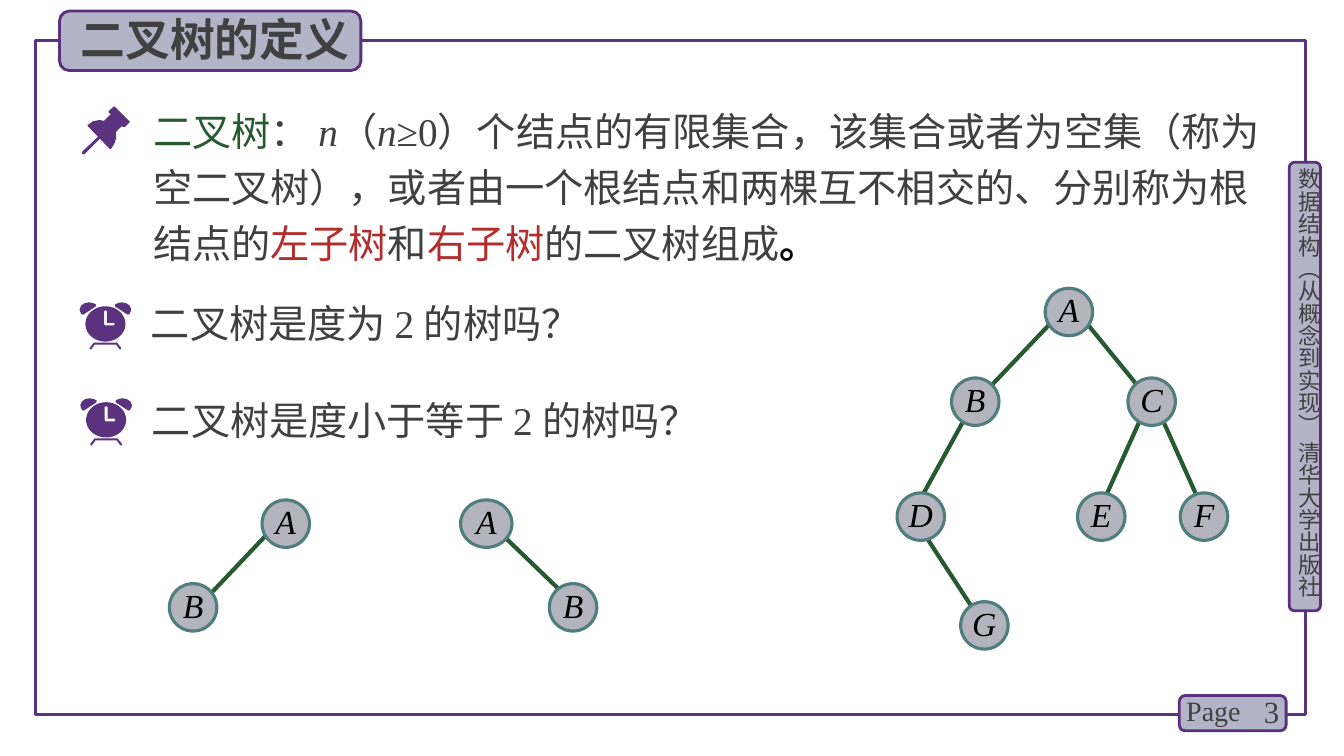
from math import cos, pi, sin

from lxml.etree import SubElement
from pptx import Presentation
from pptx.dml.color import RGBColor
from pptx.enum.shapes import MSO_CONNECTOR as Connector, MSO_SHAPE as Shape
from pptx.enum.text import MSO_ANCHOR as Anchor, MSO_AUTO_SIZE as AutoSize, PP_ALIGN as Align
from pptx.oxml.ns import qn
from pptx.util import Pt

THEME = {
    "frame": "5A327D", "badge": "B4B4C8", "badge_line": "5C307D",
    "text": "404040", "black": "000000", "green": "285A32", "red": "B42D2D",
    "node": "B4B4BE", "node_line": "507D7D",
    "latin": "Times New Roman", "cjk": "Noto Sans CJK SC",
    "title_size": 32, "body_size": 28, "node_size": 24,
    "number_size": 22, "page_size": 20, "side_size": 16,
}

FRAME = (25.2, 28.8, 907.2, 481.7)
BADGES = [(920.9, 115.9, 22.3, 320.4), (842.4, 496.8, 76.3, 25.2), (42.5, 7.9, 215.3, 42.5)]

TITLE = "二叉树的定义"
SIDE_TEXT = "数据结构（从概念到实现） 清华大学出版社"
DEFINITION = [
    ("二叉树", "green", ""),
    ("： ", "text", ""),
    ("n", "text", "i"),
    ("（", "text", ""),
    ("n", "text", "i"),
    ("≥0）个结点的有限集合，该集合或者为空集（称为空二叉树），"
     "或者由一个根结点和两棵互不相交的、分别称为根结点的", "text", ""),
    ("左子树", "red", ""),
    ("和", "text", ""),
    ("右子树", "red", ""),
    ("的二叉树组成", "text", ""),
    ("。", "black", "b"),
]
QUESTIONS = [
    ("二叉树是度为 2 的树吗？", (100.8, 210.2, 377.3, 41), (56.9, 216)),
    ("二叉树是度小于等于 2 的树吗？", (101.5, 279.4, 427.7, 41), (57.4, 284.5)),
]

NODE = 33.9
TREES = [
    {
        "edges": [(190.1, 382.3, 149.8, 424.8)],
        "nodes": [("A", 187.2, 357.1, NODE), ("B", 121, 416.9, NODE)],
    },
    {
        "edges": [(361.4, 384.5, 400.3, 421.9)],
        "nodes": [("A", 329, 357.1, 36.7), ("B", 392.4, 416.9, NODE)],
    },
    {
        "edges": [
            (748.8, 232.6, 708.5, 275), (777.6, 232.6, 812.2, 275),
            (687.6, 301.7, 659.5, 352.8), (663.1, 385.9, 694.1, 433.4),
            (813.6, 301.7, 790.6, 352.8), (831.6, 302.4, 853.9, 352.1),
        ],
        "nodes": [
            ("A", 746.6, 205.9, NODE), ("C", 805.7, 270, NODE), ("B", 679.7, 270, NODE),
            ("D", 640.8, 352.1, NODE), ("E", 769.7, 352.1, NODE), ("F", 843.1, 352.1, NODE),
            ("G", 686.2, 429.8, NODE),
        ],
    },
]

PIN_HEAD = [
    (92.2, 86.4), (82, 76.2), (81.2, 76.2), (77.7, 79.3), (77.7, 80.5), (79.2, 81.5),
    (74.2, 86.4), (71.3, 85.7), (66.5, 86.6), (62.6, 89.3), (62.6, 90), (78.5, 106.5),
    (79.3, 106.5), (82, 102), (83, 98.2), (82.8, 94.4), (87.1, 90), (87.9, 90.7),
    (89.2, 90.7), (92.2, 87.8), (92.8, 87.1),
]
PIN_NEEDLE = [
    (59.8, 110.2), (59, 110), (58.5, 109.2), (59, 108.1), (70.6, 97.1),
    (71.5, 96.8), (72.1, 97.5), (72, 98.5), (60.5, 110),
]
CLOCK_WIDTH = 36.8
CLOCK_CENTRE = (18.4, 15.4)
CLOCK_RADII = (14.3, 12.6)
CLOCK_EAR = [
    (6.5, 0), (3.5, 0.6), (1, 2.4), (0, 5), (0.4, 6.8), (1.4, 8.6),
    (2.2, 8.8), (2.9, 8.6), (11.5, 2.9), (11.6, 1.5), (9.2, 0.4),
]
CLOCK_HANDS = [
    (17.4, 6.2), (18.4, 5.6), (19.4, 6.2), (19.4, 14.6), (24.4, 14.6),
    (25.2, 15.5), (24.4, 16.5), (18.2, 16.5), (17.4, 15.7),
]
CLOCK_LEG = [(18.4, 28.7), (10.1, 28.7), (7.1, 32.6), (7.2, 33.6), (8.2, 33.6), (10.8, 30.1), (18.4, 30.1)]


def colour(name):
    return RGBColor.from_string(THEME[name])


def points(values):
    return [Pt(value) for value in values]


def paint(shape, fill=None, line=None, width=0):
    shape.shadow.inherit = False
    if fill:
        shape.fill.solid()
        shape.fill.fore_color.rgb = colour(fill)
    else:
        shape.fill.background()
    if line:
        shape.line.color.rgb = colour(line)
        shape.line.width = Pt(width)
    else:
        shape.line.fill.background()


def write(frame, runs, size, latin="latin", spacing=None, align=Align.LEFT):
    para = frame.paragraphs[0]
    para.alignment = align
    if spacing:
        para.line_spacing = Pt(spacing)
    for text, tint, style in runs:
        span = para.add_run()
        span.text = text
        span.font.name = THEME[latin]
        span.font.size = Pt(THEME[size])
        span.font.color.rgb = colour(tint)
        span.font.bold = "b" in style
        span.font.italic = "i" in style
        SubElement(span.font._element, qn("a:ea"), typeface=THEME["cjk"])


def set_margins(frame, across, down):
    frame.margin_left = frame.margin_right = Pt(across)
    frame.margin_top = frame.margin_bottom = Pt(down)


def add_text(page, area, runs, size, margins=(7.2, 3.6), grow=True, **style):
    frame = page.shapes.add_textbox(*points(area)).text_frame
    frame.word_wrap = True
    frame.auto_size = AutoSize.SHAPE_TO_FIT_TEXT if grow else AutoSize.NONE
    set_margins(frame, *margins)
    write(frame, runs, size, **style)
    return frame


def add_outline(page, contours, origin=(0, 0)):
    left, top = origin
    placed = [[(Pt(left + x), Pt(top + y)) for x, y in contour] for contour in contours]
    builder = page.shapes.build_freeform(*placed[0][0], scale=1.0)
    builder.add_line_segments(placed[0][1:], close=True)
    for contour in placed[1:]:
        builder.move_to(*contour[0])
        builder.add_line_segments(contour[1:], close=True)
    paint(builder.convert_to_shape(), "frame")


def mirror(contour):
    return [(CLOCK_WIDTH - x, y) for x, y in reversed(contour)]


def add_clock(page, origin):
    (x, y), (across, down) = CLOCK_CENTRE, CLOCK_RADII
    angles = [step * pi / 24 for step in range(48)]
    face = [(x + across * cos(angle), y + down * sin(angle)) for angle in angles]
    legs = CLOCK_LEG + mirror(CLOCK_LEG)
    for contours in ([legs], [CLOCK_EAR], [mirror(CLOCK_EAR)], [face, CLOCK_HANDS]):
        add_outline(page, contours, origin)


def add_tree(page, tree):
    for edge in tree["edges"]:
        line = page.shapes.add_connector(Connector.STRAIGHT, *points(edge))
        line.line.color.rgb = colour("green")
        line.line.width = Pt(3)
        SubElement(line._element.spPr, qn("a:effectLst"))
    for letter, left, top, width in tree["nodes"]:
        node = page.shapes.add_shape(Shape.OVAL, *points((left, top, width, NODE)))
        paint(node, "node", "node_line", 2.25)
        set_margins(node.text_frame, 0, 0)
        write(node.text_frame, [(letter, "black", "i")], "node_size", spacing=25, align=Align.CENTER)


def main():
    deck = Presentation()
    deck.slide_width, deck.slide_height = Pt(960), Pt(540)
    page = deck.slides.add_slide(deck.slide_layouts[6])

    paint(page.shapes.add_shape(Shape.RECTANGLE, *points(FRAME)), None, "frame", 2.25)
    for area in BADGES:
        paint(page.shapes.add_shape(Shape.ROUNDED_RECTANGLE, *points(area)), "badge", "badge_line", 2)

    side = add_text(page, (925.2, 120.2, 19.4, 323.3), [(SIDE_TEXT, "text", "")],
                    "side_size", margins=(0, 0), latin="cjk")
    side._txBody.bodyPr.set("vert", "eaVert")
    number = add_text(page, (878.4, 493.9, 42.5, 28.8), [("3", "text", "")],
                      "number_size", grow=False, align=Align.RIGHT)
    number.vertical_anchor = Anchor.MIDDLE
    add_text(page, (840.2, 491.8, 56.2, 31.7), [("Page", "text", "")], "page_size")
    add_text(page, (50.4, 5, 213.8, 46.1), [(TITLE, "text", "b")], "title_size", latin="cjk")

    add_text(page, (109.4, 67, 799.9, 128.2), DEFINITION, "body_size", margins=(0, 3.6), spacing=40)
    add_outline(page, [PIN_HEAD])
    add_outline(page, [PIN_NEEDLE])
    for question, area, clock in QUESTIONS:
        add_text(page, area, [(question, "text", "")], "body_size")
        add_clock(page, clock)
    for tree in TREES:
        add_tree(page, tree)

    deck.save("out.pptx")


if __name__ == "__main__":
    main()
